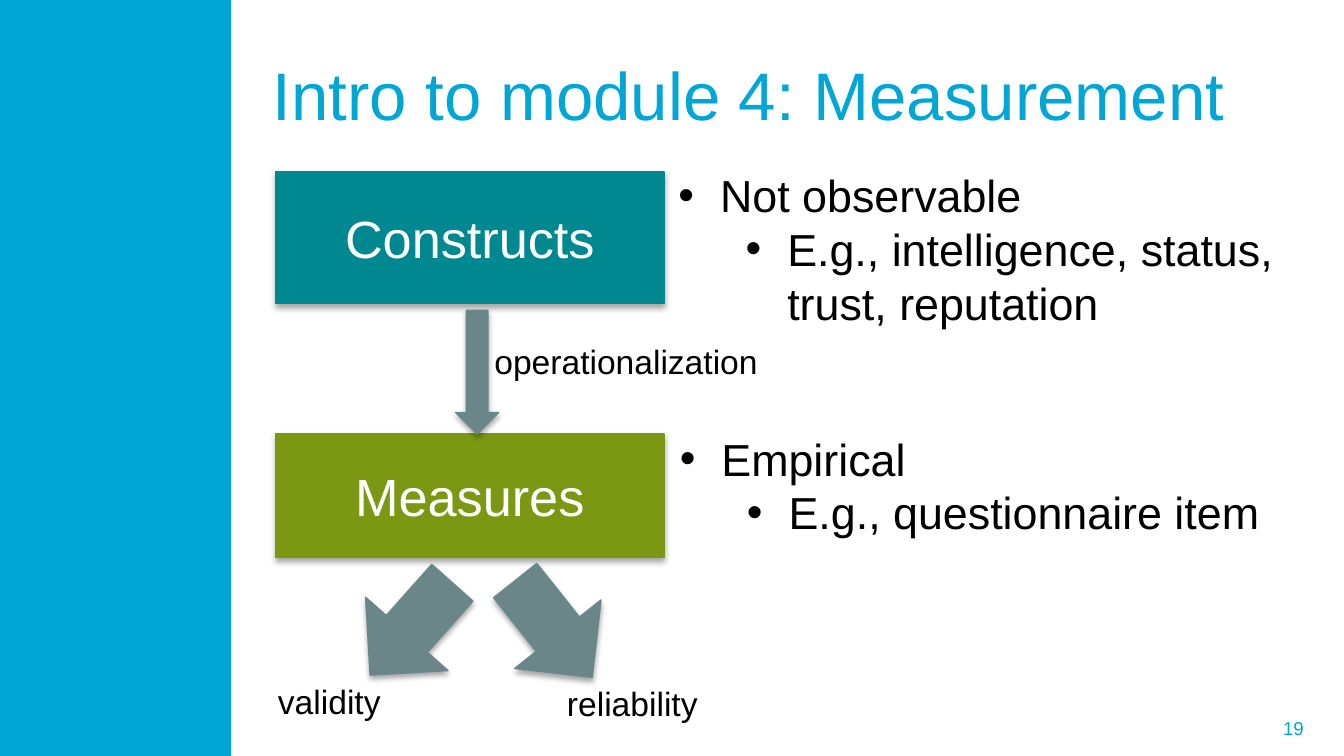
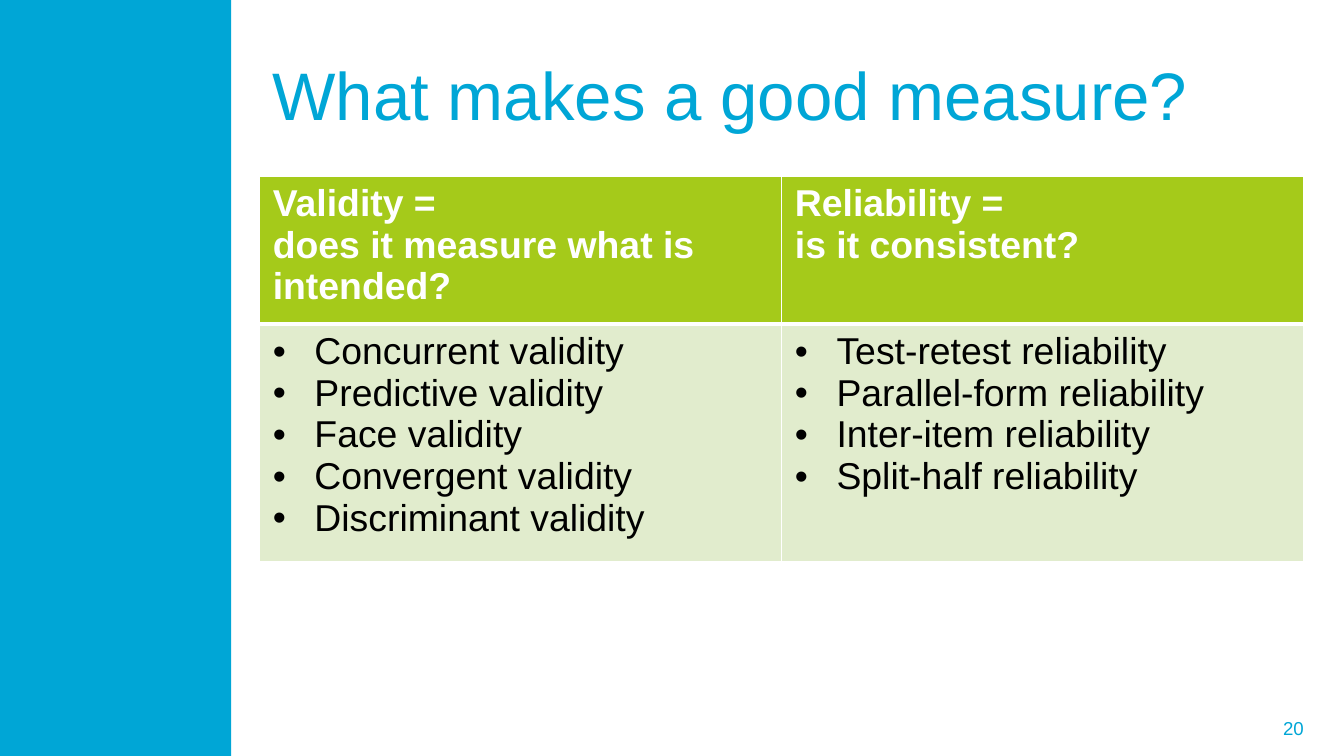
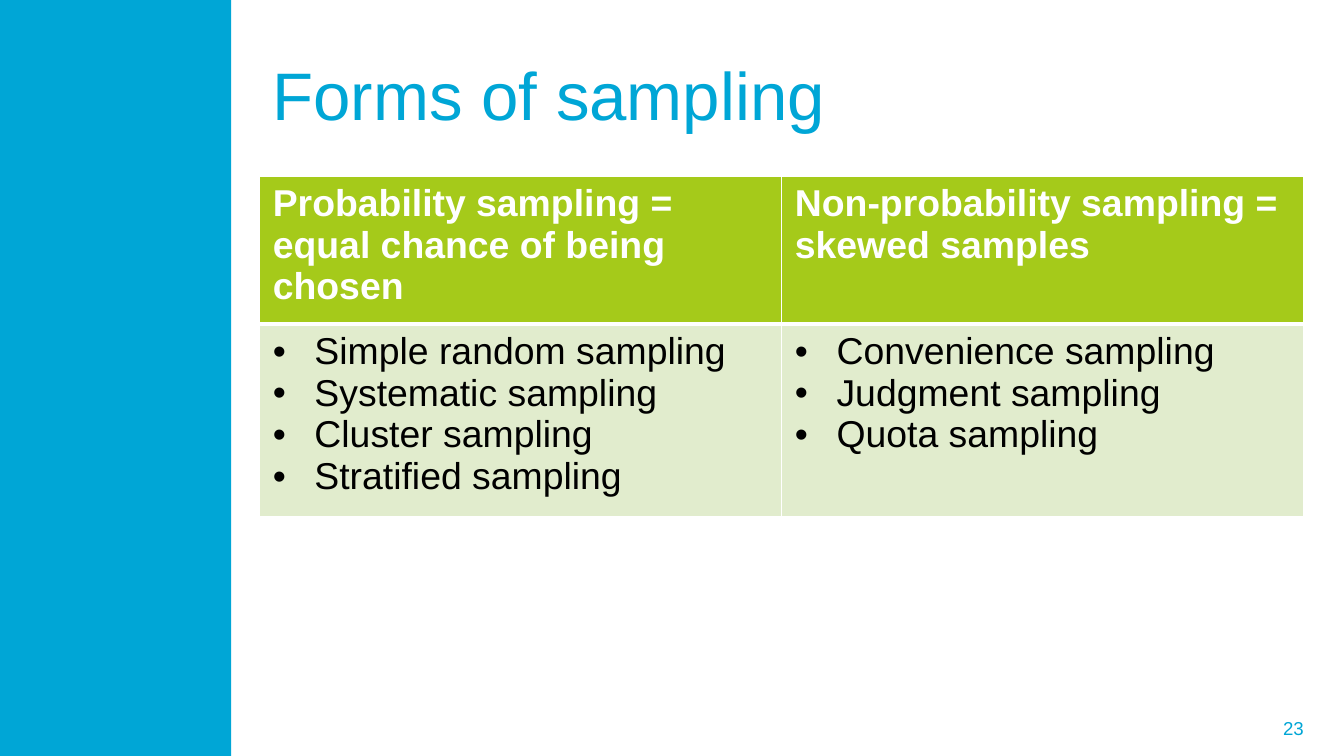
from lxml.etree import SubElement
from pptx import Presentation
from pptx.dml.color import RGBColor
from pptx.enum.shapes import MSO_SHAPE as Shape
from pptx.enum.text import MSO_ANCHOR as Anchor, MSO_AUTO_SIZE as AutoSize, PP_ALIGN as Align
from pptx.oxml.ns import qn
from pptx.util import Inches, Pt

FONT = "Arial"
CYAN, TEAL, OLIVE, GREY = "00A6D6", "008891", "7C9813", "6B8689"
LIME, PALE_LIME, WHITE, BLACK = "A5CA1A", "E1ECCD", "FFFFFF", "000000"

SLIDE_W = 10
SLIDE_H = SLIDE_W * 9 / 16
BAND_W = 1.72
CONTENT_LEFT, CONTENT_W = 1.93, 7.77
BULLET_INDENT, LEVEL_STEP = 0.31, 0.5
TABLE_TOP, ROW_H = 1.31, 0.41  # rows grow with their text

MEASUREMENT = {
    "title": "Intro to module 4: Measurement",
    "number": 19,
    "concepts": [
        # name, colour, top, height, left and top of points, height of points, points by level
        ("Constructs", TEAL, 1.28, 0.98, (4.95, 1.2), 1.31,
         [("Not observable", 0), ("E.g., intelligence, status, trust, reputation", 1)]),
        ("Measures", OLIVE, 3.23, 0.92, (4.96, 3.16), 0.91,
         [("Empirical", 0), ("E.g., questionnaire item", 1)]),
    ],
    "arrows": [
        # left, top, width, rotation, label, left, top and width of label
        (3.39, 2.31, 0.32, 0, "operationalization", 3.58, 2.49, 2.18),
        (2.65, 4.22, 0.82, 41.7, "validity", 1.97, 5.02, 0.97),
        (3.71, 4.22, 0.82, 321.5, "reliability", 4.12, 5.03, 1.18),
    ],
}
CONCEPT_LEFT, CONCEPT_W = 2.05, 2.89
POINTS_W, ARROW_H, LABEL_H = 5, 0.92, 0.4

COMPARISONS = [
    {
        "title": "What makes a good measure?",
        "number": 20,
        "columns": [
            (["Validity =", "does it measure what is intended?"],
             ["Concurrent validity", "Predictive validity", "Face validity",
              "Convergent validity", "Discriminant validity"]),
            (["Reliability =", "is it consistent?"],
             ["Test-retest reliability", "Parallel-form reliability",
              "Inter-item reliability", "Split-half reliability"]),
        ],
    },
    {
        "title": "Forms of sampling",
        "number": 23,
        "columns": [
            (["Probability sampling = equal chance of being chosen"],
             ["Simple random sampling", "Systematic sampling",
              "Cluster sampling", "Stratified sampling"]),
            (["Non-probability sampling = skewed samples"],
             ["Convenience sampling", "Judgment sampling", "Quota sampling"]),
        ],
    },
]


def rgb(color):
    return RGBColor.from_string(color)


def box(left, top, width, height):
    return [Inches(length) for length in (left, top, width, height)]


def write(frame, lines, size, color, bold=False, align=Align.LEFT):
    """Fill a frame with lines: plain strings, or (string, level) pairs for bullets."""
    for index, line in enumerate(lines):
        text, level = (line, None) if isinstance(line, str) else line
        paragraph = frame.add_paragraph() if index else frame.paragraphs[0]
        paragraph.text = text
        paragraph.alignment = align
        if level is not None:
            paragraph.level = level
            props = paragraph._p.get_or_add_pPr()
            props.set("marL", str(Inches(BULLET_INDENT + level * LEVEL_STEP)))
            props.set("indent", str(-Inches(BULLET_INDENT)))
            SubElement(props, qn("a:buFont"), typeface=FONT)
            SubElement(props, qn("a:buChar"), char="•")
        for run in paragraph.runs:
            run.font.name, run.font.size, run.font.bold = FONT, Pt(size), bold
            run.font.color.rgb = rgb(color)


def add_text(slide, place, lines, size, color, align=Align.LEFT,
             anchor=Anchor.TOP, wrap=True, grow=False):
    frame = slide.shapes.add_textbox(*box(*place)).text_frame
    frame.word_wrap = wrap
    frame.auto_size = AutoSize.SHAPE_TO_FIT_TEXT if grow else AutoSize.NONE
    frame.vertical_anchor = anchor
    write(frame, lines, size, color, align=align)


def add_block(slide, kind, place, color):
    block = slide.shapes.add_shape(kind, *box(*place))
    block.shadow.inherit = False
    block.fill.solid()
    block.fill.fore_color.rgb = rgb(color)
    block.line.color.rgb = rgb(color)
    block.line.width = Pt(0.75)
    return block


def drop_shadow(block):
    effects = block._element.spPr.find(qn("a:effectLst"))
    shadow = SubElement(effects, qn("a:outerShdw"), blurRad=str(Pt(3.1)),
                        dist=str(Pt(1.8)), dir=str(90 * 60000), rotWithShape="0")
    shade = SubElement(shadow, qn("a:srgbClr"), val=BLACK)
    SubElement(shade, qn("a:alpha"), val="35000")


def start_slide(deck, content):
    """Add a slide with its number, side band and title."""
    slide = deck.slides.add_slide(deck.slide_layouts[6])
    add_text(slide, (7.27, 5.27, 2.53, 0.3), [str(content["number"])], 10, CYAN,
             align=Align.RIGHT, anchor=Anchor.MIDDLE)
    band = add_block(slide, Shape.RECTANGLE, (0, 0, BAND_W, SLIDE_H), CYAN)
    band.line.fill.background()
    add_text(slide, (CONTENT_LEFT, 0.23, CONTENT_W, 0.94), [content["title"]], 36, CYAN,
             anchor=Anchor.MIDDLE)
    return slide


def add_measurement(deck):
    slide = start_slide(deck, MEASUREMENT)
    for name, color, top, height, corner, points_h, points in MEASUREMENT["concepts"]:
        add_text(slide, (*corner, POINTS_W, points_h), points, 24, BLACK, grow=True)
        concept = add_block(slide, Shape.RECTANGLE,
                            (CONCEPT_LEFT, top, CONCEPT_W, height), color)
        drop_shadow(concept)
        concept.text_frame.vertical_anchor = Anchor.MIDDLE
        write(concept.text_frame, [name], 28, WHITE, align=Align.CENTER)
    for left, top, width, turn, label, label_left, label_top, label_w in MEASUREMENT["arrows"]:
        arrow = add_block(slide, Shape.DOWN_ARROW, (left, top, width, ARROW_H), GREY)
        drop_shadow(arrow)
        arrow.rotation = turn
        add_text(slide, (label_left, label_top, label_w, LABEL_H), [label], 18, BLACK,
                 wrap=False, grow=True)


def style_cell(cell, color, top, bottom):
    """Fill a cell and give it white borders; top and bottom are widths in points."""
    cell.fill.solid()
    cell.fill.fore_color.rgb = rgb(color)
    props = cell._tc.get_or_add_tcPr()
    borders = [("a:lnL", 1), ("a:lnR", 1), ("a:lnT", top), ("a:lnB", bottom)]
    for position, (side, width) in enumerate(borders):
        border = SubElement(props, qn(side), w=str(Pt(width)))
        SubElement(SubElement(border, qn("a:solidFill")), qn("a:srgbClr"), val=WHITE)
        props.insert(position, border)


def add_comparison(deck, content):
    slide = start_slide(deck, content)
    columns = content["columns"]
    table = slide.shapes.add_table(
        2, len(columns), *box(CONTENT_LEFT, TABLE_TOP, CONTENT_W, 2 * ROW_H)).table
    table.horz_banding = False
    for index, (heading, kinds) in enumerate(columns):
        head, body = table.cell(0, index), table.cell(1, index)
        style_cell(head, LIME, top=1, bottom=3)
        style_cell(body, PALE_LIME, top=3, bottom=1)
        write(head.text_frame, heading, 20, WHITE, bold=True)
        write(body.text_frame, [(kind, 0) for kind in kinds], 20, BLACK)


def main():
    deck = Presentation()
    deck.slide_width, deck.slide_height = Inches(SLIDE_W), Inches(SLIDE_H)
    add_measurement(deck)
    for content in COMPARISONS:
        add_comparison(deck, content)
    deck.save("out.pptx")


if __name__ == "__main__":
    main()
